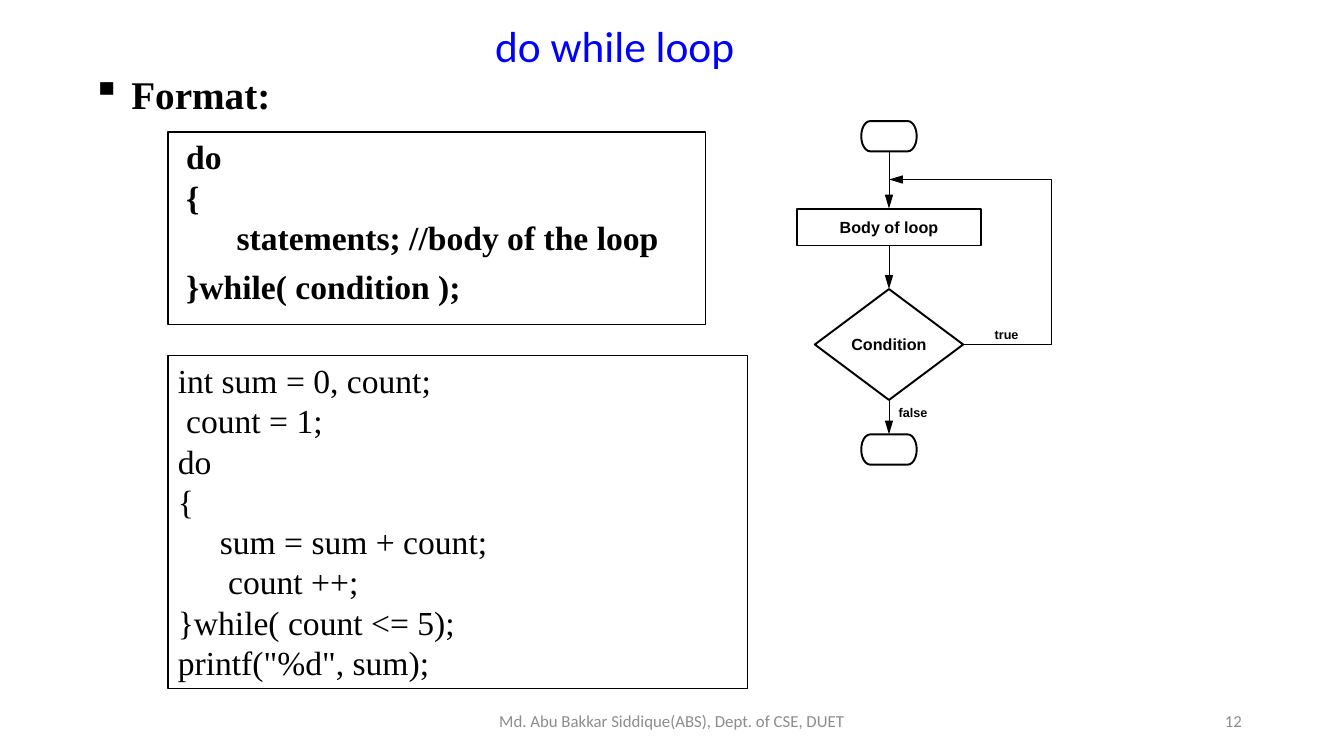
"""Build the slide on the do while loop with its format, example and flowchart."""
from dataclasses import dataclass

from lxml.etree import SubElement
from pptx import Presentation
from pptx.dml.color import RGBColor
from pptx.enum.shapes import MSO_CONNECTOR as Connector, MSO_SHAPE as Preset
from pptx.enum.text import MSO_ANCHOR as Anchor, PP_ALIGN as Align
from pptx.oxml.ns import qn
from pptx.util import Pt


@dataclass(frozen=True)
class Theme:
    black: RGBColor = RGBColor(0, 0, 0)
    blue: RGBColor = RGBColor(0, 0, 255)
    grey: RGBColor = RGBColor(0x8C, 0x8C, 0x8C)
    heading_font: str = "Calibri"
    code_font: str = "Times New Roman"
    chart_font: str = "Arial"
    title: float = 31
    heading: float = 28
    code: float = 24
    footer: float = 12
    node: float = 11.5
    label: float = 9
    code_spacing: float = 28.8
    box_line: float = 1
    node_line: float = 1.38
    arrow_line: float = 0.28


class SlideBuilder:
    def __init__(self, presentation, theme):
        self.theme = theme
        self.slide = presentation.slides.add_slide(presentation.slide_layouts[5])

    def fill_text(self, shape, paragraphs, font, size, color=None, bold=False,
                  align=Align.LEFT, anchor=Anchor.TOP, inset=0, wrap=True, spacing=None):
        frame = shape.text_frame
        frame_format = {"margin_left": 0, "margin_right": 0, "margin_bottom": 0,
                        "margin_top": Pt(inset), "word_wrap": wrap,
                        "vertical_anchor": anchor}
        for name, value in frame_format.items():
            setattr(frame, name, value)
        font_format = {"name": font, "size": Pt(size), "bold": bold}
        for index, (text, left, before) in enumerate(paragraphs):
            paragraph = frame.paragraphs[0] if index == 0 else frame.add_paragraph()
            paragraph.text = text
            paragraph_format = {"alignment": align, "space_before": Pt(before),
                                "line_spacing": Pt(spacing) if spacing else 1.0}
            for name, value in paragraph_format.items():
                setattr(paragraph, name, value)
            paragraph._p.get_or_add_pPr().set("marL", str(Pt(left)))
            for run in paragraph.runs:
                run.font.color.rgb = color or self.theme.black
                for name, value in font_format.items():
                    setattr(run.font, name, value)
        return shape

    def title(self, text, left, top, width, height):
        shape = self.slide.shapes.title
        place = {"left": left, "top": top, "width": width, "height": height}
        for name, value in place.items():
            setattr(shape, name, Pt(value))
        self.fill_text(shape, [(text, 0, 0)], self.theme.heading_font, self.theme.title,
                       self.theme.blue, align=Align.CENTER, anchor=Anchor.BOTTOM)

    def text(self, text, left, top, width, height, **style):
        shape = self.slide.shapes.add_textbox(Pt(left), Pt(top), Pt(width), Pt(height))
        return self.fill_text(shape, [(text, 0, 0)], **style)

    def bullet(self, text, left, top, width, height, indent):
        shape = self.text(text, left, top, width, height, font=self.theme.code_font,
                          size=self.theme.heading, bold=True, inset=1)
        properties = shape.text_frame.paragraphs[0]._p.get_or_add_pPr()
        properties.set("marL", str(Pt(indent)))
        properties.set("indent", str(Pt(-indent)))
        SubElement(properties, qn("a:buChar")).set("char", "▪")

    def outline(self, shape, width):
        shape.shadow.inherit = False
        shape.fill.background()
        shape.line.color.rgb = self.theme.black
        shape.line.width = Pt(width)
        return shape

    def preset(self, kind, left, top, width, height, line_width):
        shape = self.slide.shapes.add_shape(kind, Pt(left), Pt(top), Pt(width), Pt(height))
        return self.outline(shape, line_width)

    def code(self, lines, left, top, width, height, bold=False):
        shape = self.preset(Preset.RECTANGLE, left, top, width, height, self.theme.box_line)
        self.fill_text(shape, lines, self.theme.code_font, self.theme.code, bold=bold,
                       inset=3, spacing=self.theme.code_spacing)

    def node(self, kind, center, top, width, height, text=""):
        shape = self.preset(kind, center - width / 2, top, width, height,
                            self.theme.node_line)
        if text:
            self.fill_text(shape, [(text, 0, 0)], self.theme.chart_font, self.theme.node,
                           bold=True, align=Align.CENTER, anchor=Anchor.MIDDLE, wrap=False)
        return shape

    def arrowhead(self, shape):
        tail = SubElement(shape.line._get_or_add_ln(), qn("a:tailEnd"))
        for name, value in {"type": "triangle", "w": "med", "len": "lg"}.items():
            tail.set(name, value)

    def arrow(self, start, end):
        connector = self.slide.shapes.add_connector(Connector.STRAIGHT, 0, 0, 0, 0)
        connector.begin_connect(start, 2)
        connector.end_connect(end, 0)
        connector.line.color.rgb = self.theme.black
        connector.line.width = Pt(self.theme.arrow_line)
        self.arrowhead(connector)
        SubElement(connector._element.spPr, qn("a:effectLst"))

    def bent_arrow(self, points):
        start, *rest = [(Pt(x), Pt(y)) for x, y in points]
        builder = self.slide.shapes.build_freeform(*start)
        builder.add_line_segments(rest, close=False)
        self.arrowhead(self.outline(builder.convert_to_shape(), self.theme.arrow_line))

    def label(self, text, left, top):
        self.text(text, left, top, 28, 13, font=self.theme.chart_font,
                  size=self.theme.label, bold=True, inset=2)

    def footer(self, text, left, width, align):
        self.text(text, left, 500.5, width, 28.8, font=self.theme.heading_font,
                  size=self.theme.footer, color=self.theme.grey, align=align,
                  anchor=Anchor.MIDDLE)


def main():
    presentation = Presentation()
    presentation.slide_width, presentation.slide_height = Pt(960), Pt(540)
    builder = SlideBuilder(presentation, Theme())

    builder.title("do while loop", 350, 12.2, 178, 39)
    builder.bullet("Format:", 65.8, 49, 140, 35, 28)
    builder.code([("do", 13, 3), ("{", 13, 0),
                  ("statements; //body of the loop", 49, 0),
                  ("}while( condition );", 13, 6)], 120, 94.2, 384, 137.5, bold=True)
    builder.code([("int sum = 0, count;\v count = 1;", 7, 3), ("do", 7, 0), ("{", 7, 0),
                  ("sum = sum + count;\v count ++;", 37, 0),
                  ("}while( count <= 5);", 7, 0), ('printf("%d", sum);', 7, 0)],
                 120, 254, 414, 238)

    center, return_x, return_y = 635, 751, 128.2
    condition_top, condition_width, condition_height = 206.5, 106, 79.2
    nodes = [
        builder.node(Preset.FLOWCHART_TERMINATOR, center, 86.5, 39.6, 21.6),
        builder.node(Preset.RECTANGLE, center, 149, 132, 26.4, "Body of loop"),
        builder.node(Preset.DIAMOND, center, condition_top, condition_width,
                     condition_height, "Condition"),
        builder.node(Preset.FLOWCHART_TERMINATOR, center, 310.3, 39.6, 21.6),
    ]
    for start, end in zip(nodes, nodes[1:]):
        builder.arrow(start, end)
    condition_y = condition_top + condition_height / 2
    builder.bent_arrow([(center + condition_width / 2, condition_y),
                        (return_x, condition_y), (return_x, return_y),
                        (center, return_y)])
    builder.label("true", 710.5, 231.8)
    builder.label("false", 642, 287.5)

    builder.footer("Md. Abu Bakkar Siddique(ABS), Dept. of CSE, DUET", 318, 324, Align.CENTER)
    builder.footer("12", 678, 209, Align.RIGHT)
    presentation.save("out.pptx")


if __name__ == "__main__":
    main()
